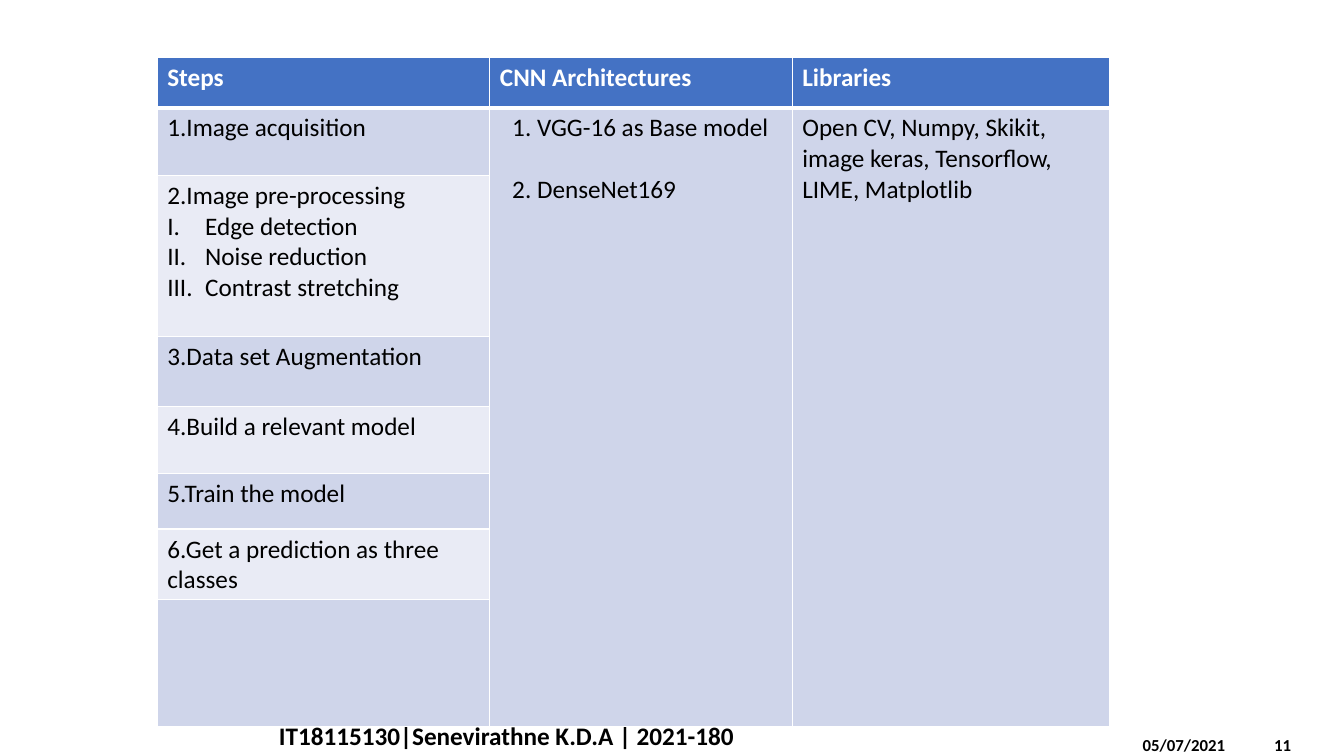
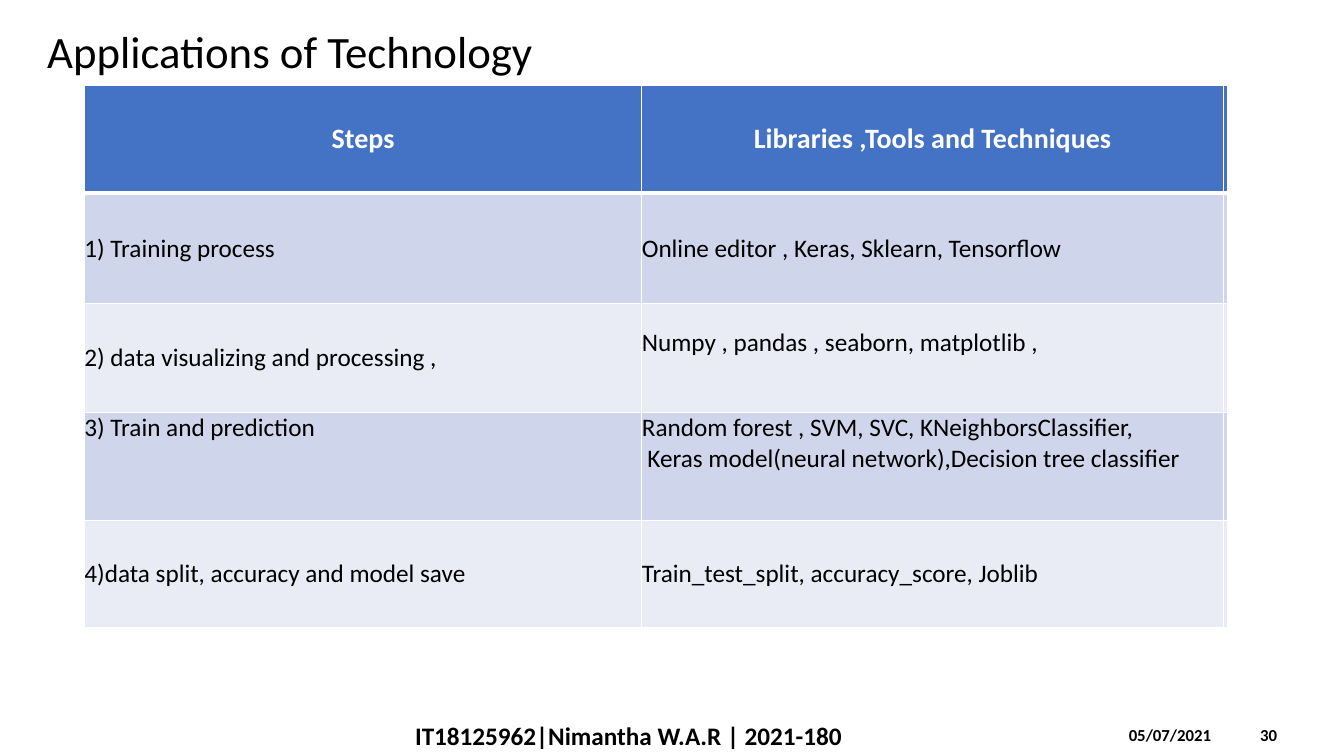
"""Build two slides that tabulate the steps and libraries of a project."""
from lxml import etree
from pptx import Presentation
from pptx.dml.color import RGBColor
from pptx.enum.text import MSO_ANCHOR, PP_ALIGN
from pptx.oxml.ns import qn
from pptx.util import Pt

BLACK = RGBColor(0x00, 0x00, 0x00)
WHITE = RGBColor(0xFF, 0xFF, 0xFF)
HEADER_BLUE = RGBColor(0x44, 0x72, 0xC4)
BANDS = (RGBColor(0xCF, 0xD5, 0xEA), RGBColor(0xE9, 0xEB, 0xF5))
FONT = "Calibri"
BODY_SIZE = 18
MIDDLE = MSO_ANCHOR.MIDDLE
TOP = MSO_ANCHOR.TOP
LEFT = PP_ALIGN.LEFT
CENTER = PP_ALIGN.CENTER
DATE = "05/07/2021"
DATE_TABS = (("l", 95), ("r", 201))


def style_text(tf, size, color=BLACK, bold=False, align=LEFT):
    """Format every run of a text frame alike."""
    for p in tf.paragraphs:
        p.alignment = align
        for r in p.runs:
            r.font.name = FONT
            r.font.size = Pt(size)
            r.font.bold = bold
            r.font.color.rgb = color


def add_text(s, text, left, top, width, height, size, bold=False):
    """Add a text box and return its text frame."""
    tf = s.shapes.add_textbox(Pt(left), Pt(top), Pt(width), Pt(height)).text_frame
    tf.word_wrap = True
    tf.text = text
    style_text(tf, size, bold=bold)
    return tf


def add_footer(s, author, author_left, number, date_left):
    """Add the author line and the date with the slide number."""
    add_text(s, author, author_left, 511.2, 389.5, 28.8, 18, True)
    tf = add_text(s, f"\t{DATE}\t{number}", date_left, 510.5, 216, 28.8, 12, True)
    tf.vertical_anchor = MIDDLE
    tabs = etree.SubElement(tf.paragraphs[0]._p.get_or_add_pPr(), qn("a:tabLst"))
    for align, pos in DATE_TABS:
        etree.SubElement(tabs, qn("a:tab"), pos=str(Pt(pos)), algn=align)
    return tf


def indent(p, left, hanging=0, numbering=None):
    """Indent a paragraph and optionally number it."""
    pPr = p._p.get_or_add_pPr()
    pPr.set("marL", str(Pt(left)))
    pPr.set("indent", str(-Pt(hanging)))
    if numbering:
        etree.SubElement(pPr, qn("a:buAutoNum"), type=numbering)


def add_borders(cell, top, bottom):
    """Draw white borders around a cell, below its fill in the XML order."""
    tcPr = cell._tc.get_or_add_tcPr()
    sides = (("L", 1), ("R", 1), ("T", top), ("B", bottom))
    for i, (side, width) in enumerate(sides):
        ln = etree.Element(qn(f"a:ln{side}"), w=str(Pt(width)))
        fill = etree.SubElement(ln, qn("a:solidFill"))
        etree.SubElement(fill, qn("a:srgbClr"), val=str(WHITE))
        tcPr.insert(i, ln)


def add_table(s, left, top, widths, heights, rows, header_size, header_align=LEFT):
    """Add a table with a blue header row and banded body rows."""
    table = s.shapes.add_table(len(heights), len(widths), Pt(left), Pt(top),
                               Pt(sum(widths)), Pt(sum(heights))).table
    for column, width in zip(table.columns, widths):
        column.width = Pt(width)
    for i, (height, texts) in enumerate(zip(heights, rows)):
        table.rows[i].height = Pt(height)
        for j in range(len(widths)):
            cell = table.cell(i, j)
            cell.text = texts[j] if j < len(texts) else ""
            cell.fill.solid()
            if i == 0:
                cell.fill.fore_color.rgb = HEADER_BLUE
                style_text(cell.text_frame, header_size, WHITE, True, header_align)
            else:
                cell.fill.fore_color.rgb = BANDS[(i - 1) % 2]
                style_text(cell.text_frame, BODY_SIZE)
            add_borders(cell, 3 if i == 1 else 1, 3 if i == 0 else 1)
    return table


def add_architecture_slide(prs):
    """Add the slide on steps, architectures and libraries."""
    s = prs.slides.add_slide(prs.slide_layouts[6])
    tf = add_footer(s, "IT18115130|Senevirathne K.D.A | 2021-180", 192.2, 11, 714.2)
    tf.margin_top, tf.margin_bottom = Pt(14.4), 0
    rows = [
        ("Steps", "CNN Architectures", "Libraries"),
        ("1.Image acquisition",
         "1. VGG-16 as Base model\n2. DenseNet169",
         "Open CV, Numpy, Skikit, image keras, Tensorflow, LIME, Matplotlib"),
        ("2.Image pre-processing\nEdge detection\nNoise reduction\nContrast stretching",),
        ("3.Data set Augmentation",),
        ("4.Build a relevant model",),
        ("5.Train the model",),
        ("6.Get a prediction as three classes",),
        (),
    ]
    heights = (36, 48.2, 115.2, 49.7, 48.2, 39.6, 49.7, 90.7)
    table = add_table(s, 112.3, 41, (237.6, 216, 226.8), heights, rows, 18)
    last = len(rows) - 1
    for j in (1, 2):
        table.cell(1, j).merge(table.cell(last, j))
    models = table.cell(1, 1)
    models.margin_left = Pt(16)
    models.text_frame.paragraphs[1].space_before = Pt(22)
    for p in table.cell(2, 0).text_frame.paragraphs[1:]:
        indent(p, 27, 27, "romanUcPeriod")


def add_technology_slide(prs):
    """Add the slide on the applications of technology."""
    s = prs.slides.add_slide(prs.slide_layouts[6])
    rows = [
        ("Steps", "Libraries ,Tools and Techniques"),
        ("1) Training process", "Online editor , Keras, Sklearn, Tensorflow"),
        ("2) data visualizing and processing ,",
         "Numpy , pandas , seaborn, matplotlib ,"),
        ("3) Train and prediction",
         "Random forest , SVM, SVC, KNeighborsClassifier,\n"
         "Keras model(neural network),Decision tree classifier"),
        ("4)data split, accuracy and model save",
         "Train_test_split, accuracy_score, Joblib"),
    ]
    table = add_table(s, 60.3, 60.8, (398.2, 415.4, 2.2),
                      (77, 79.2, 77.8, 77, 76.3), rows, 20, CENTER)
    for cell in table.iter_cells():
        cell.margin_left = cell.margin_right = 0
        cell.margin_top = cell.margin_bottom = 0
        cell.vertical_anchor = MIDDLE
    for j in (0, 1):
        table.cell(3, j).vertical_anchor = TOP
    table.cell(2, 1).margin_bottom = Pt(22)
    indent(table.cell(3, 1).text_frame.paragraphs[1], 4)
    add_footer(s, "IT18125962|Nimantha W.A.R | 2021-180", 289.4, 30, 704.2)
    add_text(s, "Applications of Technology", 26.6, 13.7, 362.9, 46.1, 32)


def main():
    """Build and save the presentation."""
    prs = Presentation()
    prs.slide_width, prs.slide_height = Pt(960), Pt(540)
    add_architecture_slide(prs)
    add_technology_slide(prs)
    prs.save("out.pptx")


if __name__ == "__main__":
    main()
